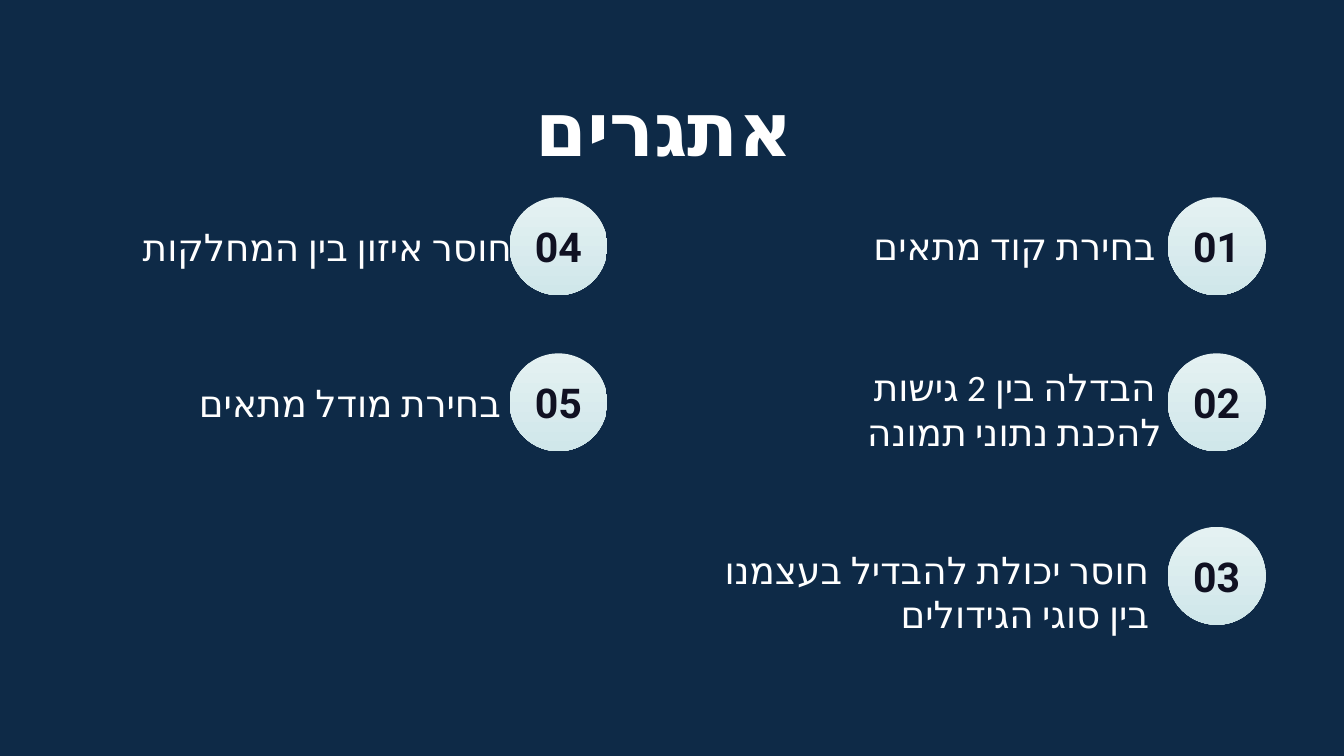
from dataclasses import dataclass

from lxml import etree
from pptx import Presentation
from pptx import util as u
from pptx.dml.color import RGBColor
from pptx.enum import lang, shapes, text
from pptx.oxml import ns


@dataclass(frozen=True)
class Theme:
    background: str = "0E2A47"
    light: str = "FFFFFF"
    number: str = "101122"
    disc_top: str = "E4F1F2"
    disc_bottom: str = "D0E7EA"
    text_font: str = "Calibri"
    number_font: str = "Roboto"
    title_size: int = 40
    item_size: int = 20
    number_size: int = 22


def add_run(p, words, font, size, color, bold=False):
    r = p.add_run()
    r.text = words
    r.font.name = font
    r.font.size = u.Pt(size)
    r.font.bold = bold
    r.font.color.rgb = RGBColor.from_string(color)
    return r


def add_hebrew(p, words, size, align, bold=False):
    p.alignment = align
    p._p.get_or_add_pPr().set("rtl", "1")
    r = add_run(p, words, theme.text_font, size, theme.light, bold)
    r.font.language_id = lang.MSO_LANGUAGE_ID.HEBREW
    cs = etree.SubElement(r._r.get_or_add_rPr(), ns.qn("a:cs"))
    cs.set("typeface", theme.text_font)


theme = Theme()
center, right = text.PP_ALIGN.CENTER, text.PP_ALIGN.RIGHT

prs = Presentation()
prs.slide_width, prs.slide_height = u.Cm(25.4), u.Cm(14.29)
s = prs.slides.add_slide(prs.slide_layouts[5])
s.background.fill.solid()
s.background.fill.fore_color.rgb = RGBColor.from_string(theme.background)

sp = s.shapes.title
sp.left, sp.top, sp.width, sp.height = u.Cm(4.19), u.Cm(1.3), u.Cm(16.74), u.Cm(1.98)
tf = sp.text_frame
tf.word_wrap = True
tf.auto_size = text.MSO_AUTO_SIZE.SHAPE_TO_FIT_TEXT
tf.vertical_anchor = text.MSO_ANCHOR.TOP
p = tf.paragraphs[0]
p.line_spacing = 1.07
p.space_before, p.space_after = u.Pt(0), u.Pt(8)
add_hebrew(p, "אתגרים", theme.title_size, center, bold=True)

columns = [22.07, 9.63]
rows = [3.73, 6.68, 9.96]
disc = 1.85
number_w, number_h = 2.08, 1.24
one_line, two_lines = 1.12, 1.96

items = [
    ("בחירת קוד מתאים", 15.95, 4.09, 6.45, one_line, center),
    ("הבדלה בין 2 גישות להכנת נתוני תמונה", 15.95, 6.76, 6.45, two_lines, center),
    ("חוסר יכולת להבדיל בעצמנו בין סוגי הגידולים", 12.8, 10.21, 9.17, two_lines, right),
    ("חוסר איזון בין המחלקות", 2.31, 4.11, 7.75, one_line, center),
    ("בחירת מודל מתאים", 2.74, 7.06, 7.75, one_line, center),
]

for i, (words, left, top, width, height, align) in enumerate(items):
    col, row = divmod(i, len(rows))
    x, y = columns[col], rows[row]
    badge = s.shapes.add_group_shape()

    sp = badge.shapes.add_shape(
        shapes.MSO_SHAPE.OVAL, u.Cm(x), u.Cm(y), u.Cm(disc), u.Cm(disc)
    )
    sp.shadow.inherit = False
    sp.line.fill.background()
    sp.fill.gradient()
    sp.fill.gradient_angle = 270
    for stop, color in zip(sp.fill.gradient_stops, (theme.disc_top, theme.disc_bottom)):
        stop.color.rgb = RGBColor.from_string(color)

    sp = badge.shapes.add_textbox(
        u.Cm(x + (disc - number_w) / 2), u.Cm(y + (disc - number_h) / 2),
        u.Cm(number_w), u.Cm(number_h),
    )
    tf = sp.text_frame
    tf.word_wrap = True
    tf.vertical_anchor = text.MSO_ANCHOR.MIDDLE
    tf.margin_top = tf.margin_bottom = u.Cm(0.25)
    p = tf.paragraphs[0]
    p.alignment = center
    add_run(p, f"{i + 1:02}", theme.number_font, theme.number_size, theme.number, bold=True)

    sp = s.shapes.add_textbox(u.Cm(left), u.Cm(top), u.Cm(width), u.Cm(height))
    tf = sp.text_frame
    tf.word_wrap = True
    tf.auto_size = text.MSO_AUTO_SIZE.SHAPE_TO_FIT_TEXT
    add_hebrew(tf.paragraphs[0], words, theme.item_size, align)

prs.save("out.pptx")
